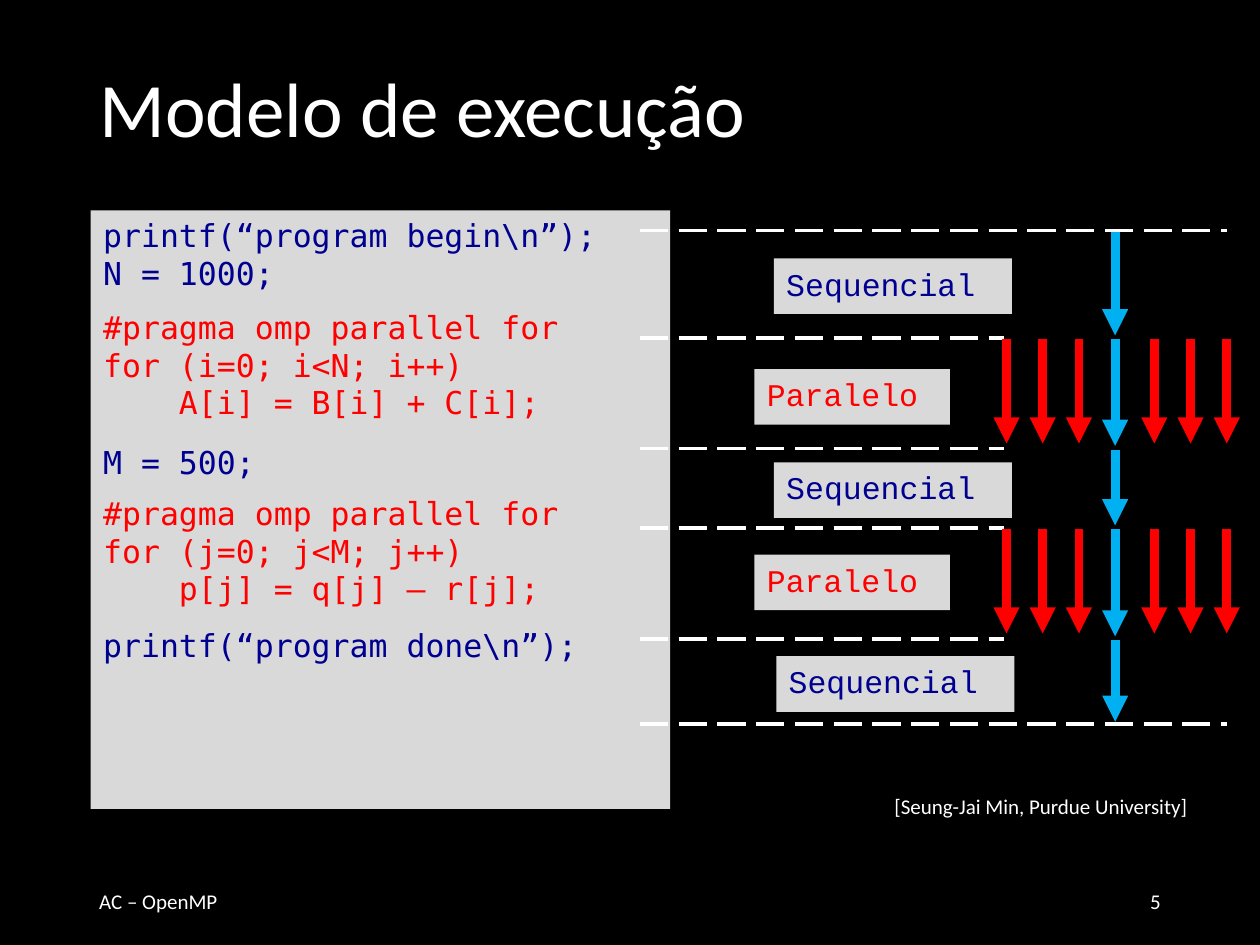
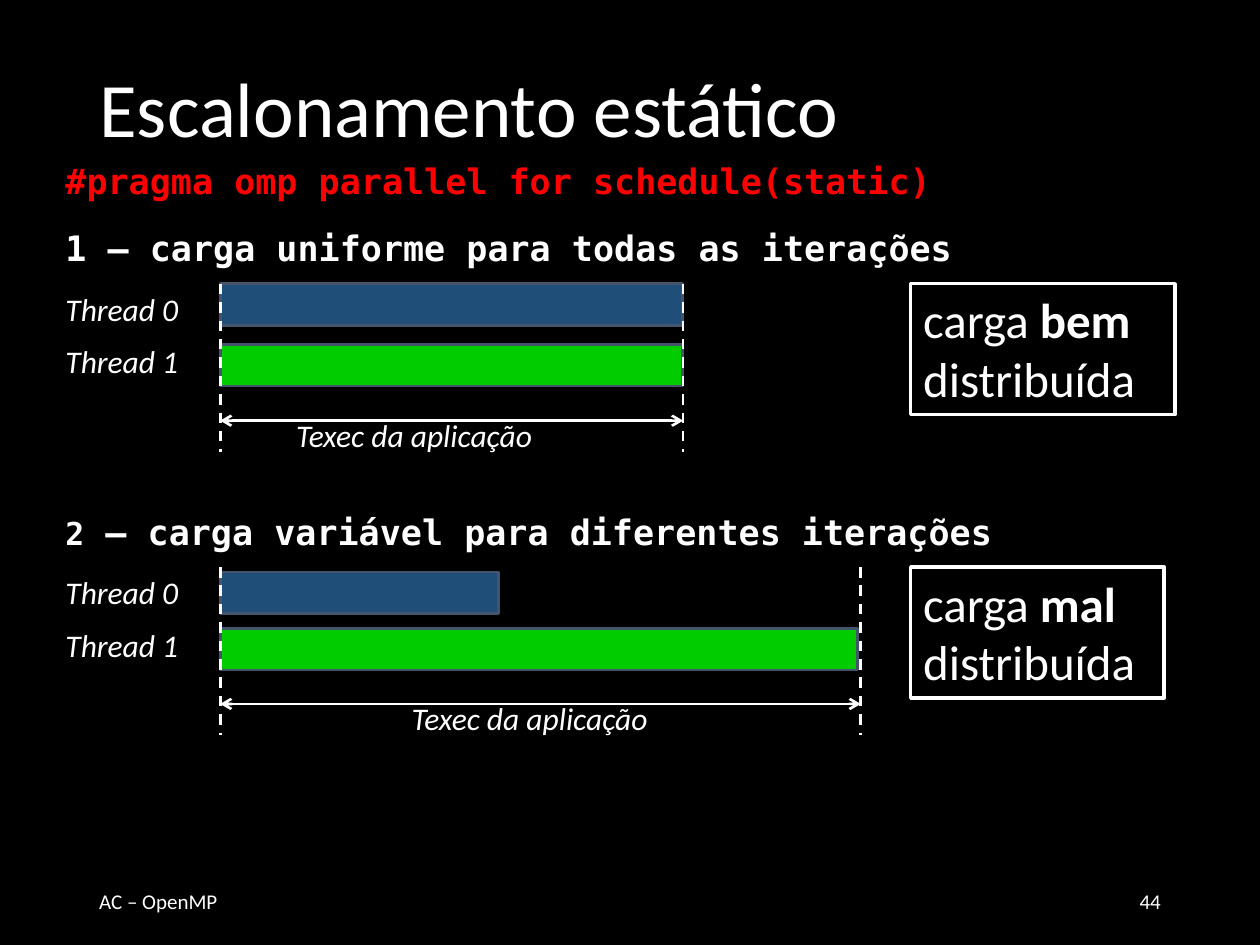
from dataclasses import dataclass
from typing import NamedTuple

from lxml.etree import SubElement
from pptx import Presentation
from pptx.dml.color import RGBColor
from pptx.enum.dml import MSO_LINE_DASH_STYLE as Dash
from pptx.enum.shapes import MSO_CONNECTOR as Connector, MSO_SHAPE as Shape
from pptx.enum.text import MSO_ANCHOR as Anchor, PP_ALIGN as Align
from pptx.oxml.ns import qn
from pptx.util import Cm, Pt

# Colours and fonts
BLACK = RGBColor(0x00, 0x00, 0x00)
WHITE = RGBColor(0xFF, 0xFF, 0xFF)
GREY = RGBColor(0xD9, 0xD9, 0xD9)
NAVY = RGBColor(0x00, 0x00, 0x90)
RED = RGBColor(0xFF, 0x00, 0x00)
SKY = RGBColor(0x00, 0xB0, 0xF0)
BLUE = RGBColor(0x1F, 0x4E, 0x79)
GREEN = RGBColor(0x00, 0xCC, 0x00)
SLATE = RGBColor(0x44, 0x54, 0x6A)
SANS, MONO, COURIER = "Calibri", "DejaVu Sans Mono", "Courier New"


class Box(NamedTuple):
    """Left, top, width and height in centimetres."""
    left: float
    top: float
    width: float
    height: float

    def lengths(self) -> list:
        return [Cm(v) for v in self]


class Run(NamedTuple):
    text: str
    bold: bool | None = None
    size: float | None = None


@dataclass
class Para:
    runs: list[Run]
    color: RGBColor | None = None
    before: float = 0
    after: float = 0


@dataclass
class Phase:
    """One stretch of the program between two dashed lines."""
    label: str
    top: float
    bottom: float
    label_left: float
    label_top: float
    parallel: bool = False


@dataclass
class Case:
    """One load case: a bar per thread and the total time."""
    top: float
    heading: list[Run]
    bars: list[tuple[float, float, RGBColor]]  # offset, width, colour
    end: float
    time_left: float
    verdict: str
    verdict_width: float


# Shared helpers
def write(tf, text, *, font=SANS, size=18, color=WHITE, bold=False, italic=False,
          align=Align.LEFT, anchor=Anchor.TOP, spacing=1.0) -> None:
    """Fill a text frame with a string or a list of Para."""
    tf.word_wrap = True
    tf.vertical_anchor = anchor
    paras = [Para([Run(text)])] if isinstance(text, str) else text
    for i, para in enumerate(paras):
        p = tf.add_paragraph() if i else tf.paragraphs[0]
        p.alignment, p.line_spacing = align, spacing
        p.space_before, p.space_after = Pt(para.before), Pt(para.after)
        for run in para.runs:
            r = p.add_run()
            r.text = run.text
            f = r.font
            f.name, f.size, f.italic = font, Pt(run.size or size), italic
            f.bold = bold if run.bold is None else run.bold
            f.color.rgb = para.color or color


def add_text(s, box: Box, text, **fmt) -> None:
    write(s.shapes.add_textbox(*box.lengths()).text_frame, text, **fmt)


def add_rect(s, box: Box, fill: RGBColor, line: RGBColor | None = None,
             width: float = 1.5, text=None, **fmt) -> None:
    sp = s.shapes.add_shape(Shape.RECTANGLE, *box.lengths())
    sp.shadow.inherit = False
    sp.fill.solid()
    sp.fill.fore_color.rgb = fill
    if line is None:
        sp.line.fill.background()
    else:
        sp.line.color.rgb = line
        sp.line.width = Pt(width)
    if text:
        write(sp.text_frame, text, **fmt)


def add_line(s, x1: float, y1: float, x2: float, y2: float, color: RGBColor = WHITE,
             width: float = 1.5, dash=None, head: str = "", tail: str = "") -> None:
    c = s.shapes.add_connector(Connector.STRAIGHT, Cm(x1), Cm(y1), Cm(x2), Cm(y2))
    c.line.color.rgb = color
    c.line.width = Pt(width)
    if dash is not None:
        c.line.dash_style = dash
    ln = c.line._get_or_add_ln()
    for tag, kind in (("a:headEnd", head), ("a:tailEnd", tail)):
        if kind:
            SubElement(ln, qn(tag), type=kind)
    SubElement(c._element.spPr, qn("a:effectLst"))


def add_slide(prs, title: str, number: int):
    """Slide with the common title and footer."""
    s = prs.slides.add_slide(prs.slide_layouts[5])
    sp = s.shapes.title
    sp.left, sp.top, sp.width, sp.height = Box(1.75, 1.02, 21.9, 2.51).lengths()
    write(sp.text_frame, title, size=44, anchor=Anchor.MIDDLE, spacing=0.9)
    for left, text, align in ((1.75, "AC – OpenMP", Align.LEFT),
                              (17.93, str(number), Align.RIGHT)):
        add_text(s, Box(left, 17.65, 5.72, 1.02), text, size=12,
                 align=align, anchor=Anchor.MIDDLE)
    return s


# Execution model
CODE = [
    Para([Run("printf(“program begin\\n”);")], NAVY),
    Para([Run("N = 1000;")], NAVY, after=9),
    Para([Run("#pragma omp parallel for")], RED),
    Para([Run("for (i=0; i<N; i++)")], RED),
    Para([Run("    A[i] = B[i] + C[i];")], RED),
    Para([Run("M = 500;")], NAVY, before=12.6, after=7.2),
    Para([Run("#pragma omp parallel for")], RED),
    Para([Run("for (j=0; j<M; j++)")], RED),
    Para([Run("    p[j] = q[j] – r[j];")], RED),
    Para([Run("printf(“program done\\n”);")], NAVY, before=10.8),
]
PHASES = [
    Phase("Sequencial", 4.65, 6.81, 15.6, 5.21),
    Phase("Paralelo", 6.81, 9.04, 15.21, 7.44, parallel=True),
    Phase("Sequencial", 9.04, 10.64, 15.6, 9.32),
    Phase("Paralelo", 10.64, 12.88, 15.21, 11.18, parallel=True),
    Phase("Sequencial", 12.88, 14.6, 15.65, 13.23),
]
DASH_LEFT, DASH_SHORT, DASH_LONG = 12.9, 20.24, 24.74
MASTER_X, THREAD_STEP = 22.48, 0.73


def add_phase(s, phase: Phase) -> None:
    color, width = (RED, 3.94) if phase.parallel else (NAVY, 4.8)
    start = phase.top + 0.03
    if phase.parallel:
        for k in (1, 2, 3):
            for x in (MASTER_X - k * THREAD_STEP, MASTER_X + 0.06 + k * THREAD_STEP):
                add_line(s, x, start, x, start + 2.1, RED, 5, tail="triangle")
    add_line(s, MASTER_X, start, MASTER_X, phase.bottom - 0.05, SKY, 5, tail="triangle")
    add_rect(s, Box(phase.label_left, phase.label_top, width, 1.12), GREY,
             text=phase.label, font=COURIER, color=color)


def build_execution_model(prs) -> None:
    s = add_slide(prs, "Modelo de execução", 5)
    add_rect(s, Box(1.83, 4.24, 11.68, 12.07), GREY, text=CODE, font=MONO)
    first, last = PHASES[0].top, PHASES[-1].bottom
    for y in [phase.top for phase in PHASES] + [last]:
        right = DASH_LONG if y in (first, last) else DASH_SHORT
        add_line(s, DASH_LEFT, y, right, y, width=2, dash=Dash.LONG_DASH)
    for phase in PHASES:
        add_phase(s, phase)
    add_text(s, Box(17.78, 15.88, 7.62, 0.76), "[Seung-Jai Min, Purdue University]", size=12)


# Static scheduling
CASES = [
    Case(5.72, [Run("1 – carga uniforme para todas as iterações")],
         [(0, 9.32, BLUE), (1.22, 9.32, GREEN)], 13.77, 5.72, "bem", 5.33),
    Case(11.43, [Run("2", size=18), Run(" – carga variável para diferentes iterações")],
         [(0.1, 5.61, BLUE), (1.24, 12.85, GREEN)], 17.35, 8.05, "mal", 5.11),
]
TEXT_LEFT, BAR_LEFT = 1.07, 4.44


def add_case(s, case: Case) -> None:
    top = case.top
    add_text(s, Box(case.time_left, top + 2.54, 6.78, 1.27), "Texec da aplicação", italic=True)
    add_text(s, Box(TEXT_LEFT, top - 1.27, 23.5, 1.47), [Para(case.heading)],
             font=MONO, size=20, bold=True)
    for i, (offset, width, color) in enumerate(case.bars):
        add_text(s, Box(TEXT_LEFT, top + i * 1.06, 3.38, 1.27), f"Thread {i}", italic=True)
        add_rect(s, Box(BAR_LEFT, top + offset, width, 0.84), color, SLATE)
    for x in (BAR_LEFT, case.end):
        add_line(s, x, top, x, top + 3.39, dash=Dash.DASH)
    add_line(s, BAR_LEFT, top + 2.76, case.end, top + 2.76, head="arrow", tail="arrow")
    verdict = [Para([Run("carga "), Run(case.verdict, bold=True)]), Para([Run("distribuída")])]
    add_rect(s, Box(18.36, top, case.verdict_width, 2.64), BLACK, WHITE, 2,
             text=verdict, size=28)


def build_static_scheduling(prs) -> None:
    s = add_slide(prs, "Escalonamento estático", 44)
    add_text(s, Box(TEXT_LEFT, 3.18, 23.5, 1.47), "#pragma omp parallel for schedule(static)",
             font=MONO, size=20, color=RED, bold=True, spacing=0.9)
    for case in CASES:
        add_case(s, case)


def main() -> None:
    prs = Presentation()
    prs.slide_width, prs.slide_height = Cm(25.4), Cm(19.05)
    fill = prs.slide_master.background.fill
    fill.solid()
    fill.fore_color.rgb = BLACK
    build_execution_model(prs)
    build_static_scheduling(prs)
    prs.save("out.pptx")


if __name__ == "__main__":
    main()
